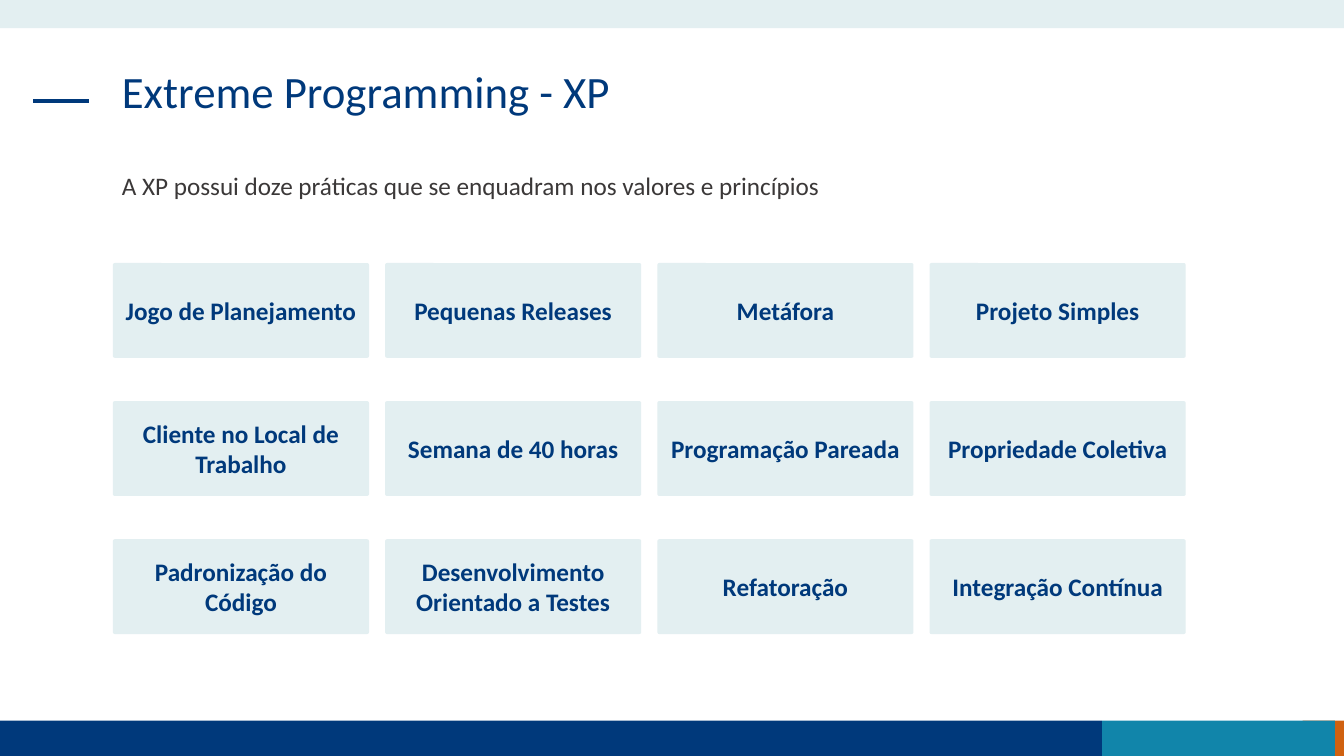
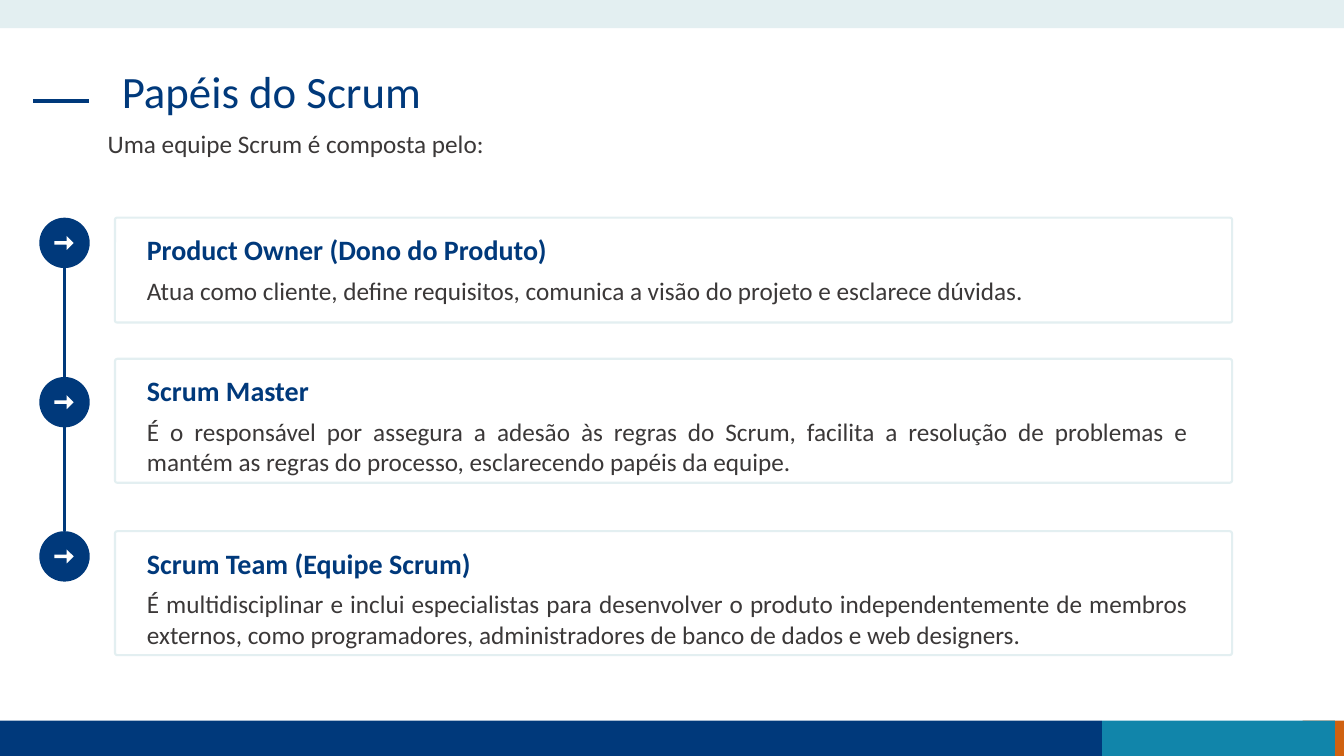
from dataclasses import dataclass
from itertools import pairwise
from typing import NamedTuple

from lxml import etree
from pptx import Presentation
from pptx import util as u
from pptx.dml.color import RGBColor
from pptx.enum import shapes, text
from pptx.oxml import ns


@dataclass(frozen=True)
class Theme:
    font: str = "Calibri"
    navy: str = "00397B"
    teal: str = "1185AA"
    orange: str = "D06110"
    pale: str = "E3EFF1"
    ink: str = "3B3838"
    white: str = "FFFFFF"
    title_size: int = 32
    heading_size: int = 20
    body_size: int = 18


class Area(NamedTuple):
    left: float
    top: float
    width: float
    height: float


class Role(NamedTuple):
    name: str
    duty: str
    marker_top: float
    card_top: float
    card_height: float


THEME = Theme()
SHAPE = shapes.MSO_SHAPE
ALIGN = text.PP_ALIGN
ANCHOR = text.MSO_ANCHOR

BANDS = [
    (Area(12.92, 7.15, 0.41, 0.35), THEME.orange),
    (Area(0, 7.15, 10.93, 0.35), THEME.navy),
    (Area(10.93, 7.15, 2.31, 0.35), THEME.teal),
    (Area(0, 0, 13.33, 0.28), THEME.pale),
]

PRACTICES = [
    ["Jogo de Planejamento", "Pequenas Releases", "Metáfora", "Projeto Simples"],
    ["Cliente no Local de Trabalho", "Semana de 40 horas",
     "Programação Pareada", "Propriedade Coletiva"],
    ["Padronização do Código", "Desenvolvimento Orientado a Testes",
     "Refatoração", "Integração Contínua"],
]
FIRST_CARD = Area(1.12, 2.61, 2.54, 0.94)
COLUMN_GAP, ROW_GAP = 0.16, 0.43

ROLES = [
    Role("Product Owner (Dono do Produto)",
         "Atua como cliente, define requisitos, comunica a visão do projeto "
         "e esclarece dúvidas.", 2.16, 2.16, 1.04),
    Role("Scrum Master",
         "É o responsável por assegura a adesão às regras do Scrum, facilita a "
         "resolução de problemas e mantém as regras do processo, esclarecendo "
         "papéis da equipe.", 3.74, 3.56, 1.23),
    Role("Scrum Team (Equipe Scrum)",
         "É multidisciplinar e inclui especialistas para desenvolver o produto "
         "independentemente de membros externos, como programadores, "
         "administradores de banco de dados e web designers.", 5.27, 5.27, 1.23),
]
MARKER_LEFT, MARKER_SIZE = 0.39, 0.5


def inches(area: Area) -> list:
    return [u.Inches(length) for length in area]


def add_shape(page, kind, area: Area, fill: str | None = None,
              line: str | None = None, adjustments: tuple = ()):
    shape = page.shapes.add_shape(kind, *inches(area))
    shape.shadow.inherit = False
    if fill:
        shape.fill.solid()
        shape.fill.fore_color.rgb = RGBColor.from_string(fill)
    else:
        shape.fill.background()
    if line:
        shape.line.color.rgb = RGBColor.from_string(line)
        shape.line.width = u.Pt(1.5)
    else:
        shape.line.fill.background()
    for index, value in enumerate(adjustments):
        shape.adjustments[index] = value
    return shape


def add_line(page, start: tuple, end: tuple, width: float) -> None:
    line = page.shapes.add_connector(
        shapes.MSO_CONNECTOR.STRAIGHT, *[u.Inches(value) for value in start + end])
    line.line.color.rgb = RGBColor.from_string(THEME.navy)
    line.line.width = u.Pt(width)
    properties = line.element.find(ns.qn("p:spPr"))
    etree.SubElement(properties, ns.qn("a:effectLst"))


def style(para, size: int, color: str, align=ALIGN.LEFT, bold: bool = False) -> None:
    para.alignment = align
    for span in para.runs:
        span.font.name = THEME.font
        span.font.size = u.Pt(size)
        span.font.bold = bold
        span.font.color.rgb = RGBColor.from_string(color)


def add_text(page, area: Area, wording: str, size: int, color: str,
             align=ALIGN.LEFT):
    box = page.shapes.add_textbox(*inches(area))
    box.text_frame.word_wrap = True
    box.text_frame.text = wording
    para = box.text_frame.paragraphs[0]
    style(para, size, color, align)
    return para


def add_page(deck, title: str):
    page = deck.slides.add_slide(deck.slide_layouts[6])
    for area, color in BANDS:
        add_shape(page, SHAPE.RECTANGLE, area, color)
    add_line(page, (0.33, 1), (0.88, 1), 3)
    heading = add_text(page, Area(1.11, 0.64, 11.1, 0.6), title,
                       THEME.title_size, THEME.navy)
    heading.line_spacing = 0.9
    return page


def add_intro(page, left: float, top: float, wording: str) -> None:
    add_text(page, Area(left, top, 11.1, 0.4), wording,
             THEME.body_size, THEME.ink, ALIGN.JUSTIFY)


def add_practice(page, row: int, column: int, name: str) -> None:
    left, top, width, height = FIRST_CARD
    area = Area(left + column * (width + COLUMN_GAP),
                top + row * (height + ROW_GAP), width, height)
    card = add_shape(page, SHAPE.ROUNDED_RECTANGLE, area, THEME.pale,
                     adjustments=(0.02,))
    frame = card.text_frame
    frame.word_wrap = True
    frame.vertical_anchor = ANCHOR.MIDDLE
    frame.margin_left = frame.margin_right = u.Inches(0.08)
    frame.text = name
    style(frame.paragraphs[0], THEME.body_size, THEME.navy, ALIGN.CENTER, True)


def add_marker(page, top: float) -> None:
    add_shape(page, SHAPE.OVAL,
              Area(MARKER_LEFT, top, MARKER_SIZE, MARKER_SIZE), THEME.navy)
    add_shape(page, SHAPE.RIGHT_ARROW,
              Area(MARKER_LEFT + 0.15, top + 0.18, 0.19, 0.14),
              THEME.white, adjustments=(0.26, 0.5))


def add_role(page, role: Role) -> None:
    add_marker(page, role.marker_top)
    card = add_shape(page, SHAPE.ROUNDED_RECTANGLE,
                     Area(1.14, role.card_top, 11.08, role.card_height),
                     line=THEME.pale, adjustments=(0.02,))
    frame = card.text_frame
    frame.word_wrap = True
    frame.vertical_anchor = ANCHOR.TOP
    frame.margin_left, frame.margin_right = u.Inches(0.31), u.Inches(0.43)
    frame.margin_top, frame.margin_bottom = u.Inches(0.14), 0
    frame.text = role.name
    style(frame.paragraphs[0], THEME.heading_size, THEME.navy, bold=True)
    duty = frame.add_paragraph()
    duty.text = role.duty
    duty.space_before = u.Pt(6.5)
    style(duty, THEME.body_size, THEME.ink, ALIGN.JUSTIFY)


def build_practices(deck) -> None:
    page = add_page(deck, "Extreme Programming - XP")
    add_intro(page, 1.11, 1.64,
              "A XP possui doze práticas que se enquadram nos valores e princípios")
    for row, names in enumerate(PRACTICES):
        for column, name in enumerate(names):
            add_practice(page, row, column, name)


def build_roles(deck) -> None:
    page = add_page(deck, "Papéis do Scrum")
    add_intro(page, 0.97, 1.22, "Uma equipe Scrum é composta pelo:")
    center = MARKER_LEFT + MARKER_SIZE / 2
    for upper, lower in pairwise(ROLES):
        add_line(page, (center, upper.marker_top + MARKER_SIZE),
                 (center, lower.marker_top), 1.5)
    for role in ROLES:
        add_role(page, role)


def main() -> None:
    deck = Presentation()
    deck.slide_width, deck.slide_height = u.Inches(13.33), u.Inches(7.5)
    build_practices(deck)
    build_roles(deck)
    deck.save("out.pptx")


if __name__ == "__main__":
    main()
